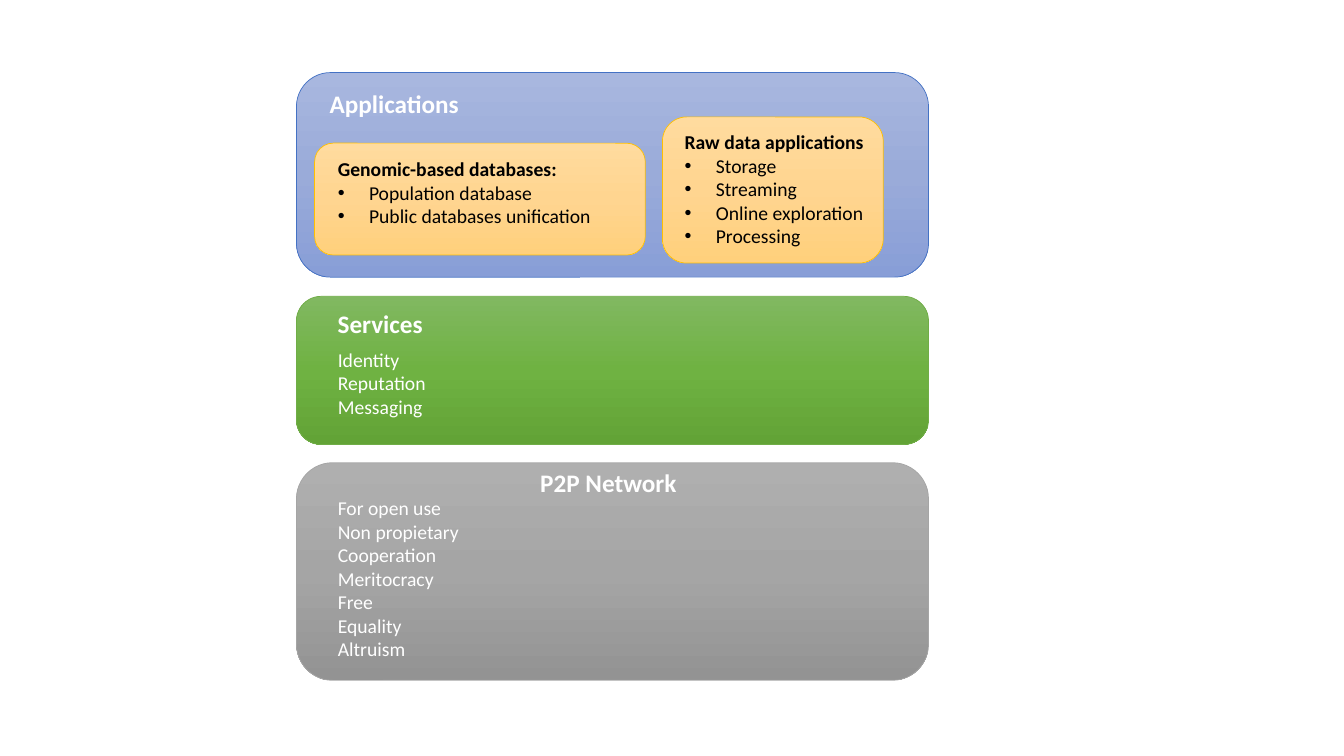
import copy

import pptx
import pptx.dml.color
import pptx.enum.shapes
import pptx.enum.text
import pptx.oxml
import pptx.oxml.ns
import pptx.util

Inch = pptx.util.Inches
Pt = pptx.util.Pt
NS = pptx.oxml.ns.nsdecls("a")


def tint(code):
    return pptx.dml.color.RGBColor.from_string(code)


def write(shape, box, lines, size, code, bold=0, dots=False, wrap=True):
    """Place a text shape; the first `bold` lines are bold, the rest may have dots."""
    shape.left, shape.top, shape.width, shape.height = map(Inch, box)
    frame = shape.text_frame
    frame.text = "\n".join(lines)
    look = {
        "word_wrap": wrap,
        "auto_size": pptx.enum.text.MSO_AUTO_SIZE.NONE,
        "vertical_anchor": pptx.enum.text.MSO_ANCHOR.TOP,
    }
    for key, value in look.items():
        setattr(frame, key, value)
    for row, para in enumerate(frame.paragraphs):
        style = {
            "alignment": pptx.enum.text.PP_ALIGN.LEFT,
            "line_spacing": 1.0,
            "space_before": Pt(0),
            "space_after": Pt(0),
        }
        for key, value in style.items():
            setattr(para, key, value)
        font = {"name": "Calibri", "size": Pt(size), "bold": row < bold}
        for key, value in font.items():
            setattr(para.runs[0].font, key, value)
        para.runs[0].font.color.rgb = tint(code)

        marked = dots and row >= bold
        indent = Inch(0.31) if marked else 0
        props = para._p.get_or_add_pPr()
        props.set("marL", str(indent))
        props.set("indent", str(-indent))
        marks = ['buFont {} typeface="Arial"', 'buChar {} char="•"'] if marked else ["buNone {}"]
        for mark in marks:
            props.append(pptx.oxml.parse_xml(f"<a:{mark.format(NS)}/>"))


deck = pptx.Presentation()
deck.slide_width = Inch(13.33)
deck.slide_height = Inch(7.5)
slide = deck.slides.add_slide(deck.slide_layouts.get_by_name("Comparison"))
shapes = slide.shapes

# Layers and the cards on the top layer
left, wide = 2.94, 6.27
gold = ["FFDB9E", "FFD590", "FFD07C"]
panels = [
    ((left, 4.59, wide, 2.16), ["AFAFAF", "A5A5A5", "939393"], "A5A5A5"),
    ((left, 2.94, wide, 1.47), ["81B861", "6FB242", "62A336"], "70AD47"),
    ((left, 0.72, wide, 2.03), ["A8B7DF", "9AABD9", "889ED7"], "4472C4"),
    ((3.12, 1.42, 3.28, 1.11), gold, "FFC000"),
    ((6.57, 1.16, 2.19, 1.45), gold, "FFC000"),
]
for box, shades, edge in panels:
    panel = shapes.add_shape(
        pptx.enum.shapes.MSO_SHAPE.ROUNDED_RECTANGLE, *map(Inch, box))
    panel.shadow.inherit = False
    panel.line.color.rgb = tint(edge)
    panel.line.width = Pt(0.5)
    panel.fill.gradient()
    panel.fill.gradient_angle = 270
    first = panel.element.spPr.find(".//" + pptx.oxml.ns.qn("a:gs"))
    first.addnext(copy.deepcopy(first))
    for place, (stop, shade) in enumerate(zip(panel.fill.gradient_stops, shades)):
        stop.position = place / 2
        stop.color.rgb = tint(shade)

# Headings
heads = [
    (shapes.title, "Applications", (3.17, 0.83, 1.49, 0.4)),
    (shapes.add_textbox(0, 0, 0, 0), "Services", (3.25, 3.01, 1.05, 0.4)),
    (shapes.add_textbox(0, 0, 0, 0), "P2P Network", (5.26, 4.59, 1.57, 0.4)),
]
for shape, text, box in heads:
    write(shape, box, [text], 18, "FFFFFF", bold=1, wrap=False)

# Lists
lists = [
    ((3.25, 4.87, 1.57, 1.75), "FFFFFF", 0,
     ["For open use", "Non propietary", "Cooperation", "Meritocracy",
      "Free", "Equality", "Altruism"]),
    ((3.25, 3.4, 1.34, 0.81), "FFFFFF", 0,
     ["Identity", "Reputation", "Messaging"]),
    ((3.25, 1.51, 2.74, 0.81), "000000", 1,
     ["Genomic-based databases:", "Population database",
      "Public databases unification"]),
    ((6.69, 1.24, 2, 1.28), "000000", 1,
     ["Raw data applications", "Storage", "Streaming",
      "Online exploration", "Processing"]),
]
bodies = [holder for holder in slide.placeholders if holder.placeholder_format.idx]
for body, (box, code, bold, lines) in zip(bodies, lists):
    write(body, box, lines, 14, code, bold, dots=bold > 0)

# Bring the placeholders in front of the panels
for holder in list(slide.placeholders):
    holder.element.getparent().append(holder.element)

deck.save("out.pptx")
